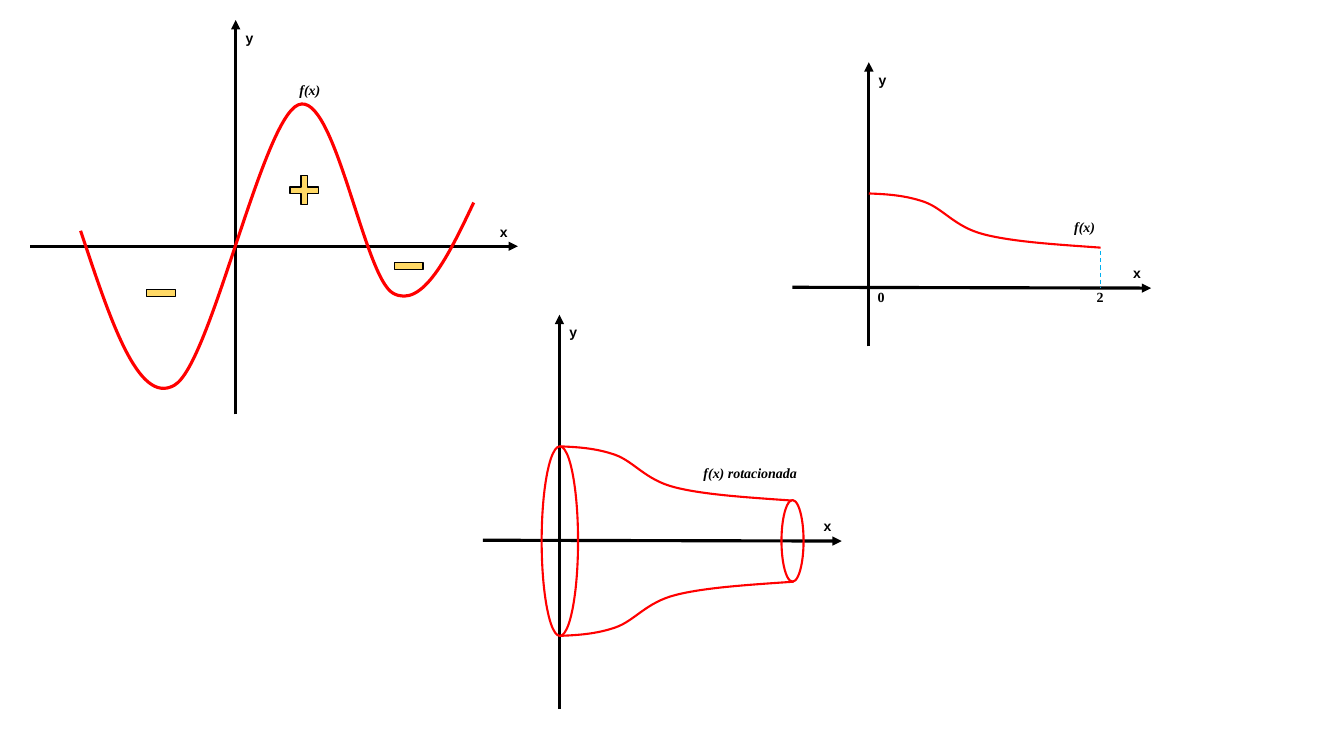
from dataclasses import dataclass

from lxml import etree
from pptx import Presentation
from pptx.dml.color import RGBColor
from pptx.enum.dml import MSO_LINE
from pptx.enum.shapes import MSO_CONNECTOR, MSO_SHAPE
from pptx.enum.text import MSO_AUTO_SIZE
from pptx.oxml.ns import qn
from pptx.shapes.autoshape import Shape
from pptx.shapes.connector import Connector
from pptx.shapes.shapetree import GroupShapes
from pptx.util import Pt

STRAIGHT = MSO_CONNECTOR.STRAIGHT
DASH = MSO_LINE.DASH
ELLIPSE, PLUS, MINUS = MSO_SHAPE.OVAL, MSO_SHAPE.MATH_PLUS, MSO_SHAPE.MATH_MINUS
FIT_TEXT = MSO_AUTO_SIZE.SHAPE_TO_FIT_TEXT

COLORS = {"ink": "000000", "curve": "FF0000", "sign": "FFD966", "limit": "00B0F0"}
SANS, SERIF = "Arial", "Times New Roman"
LABEL_WIDTH, LABEL_HEIGHT = 20, 19.4
SIGN_SIZE = 28

Point = tuple[float, float]


@dataclass(frozen=True)
class Axes:
    x_start: Point
    x_end: Point
    y_start: Point
    y_end: Point


@dataclass(frozen=True)
class Sign:
    kind: MSO_SHAPE
    left: float
    top: float
    thickness: float


@dataclass(frozen=True)
class Rim:
    left: float
    top: float
    width: float
    height: float


FUNCTION_AXES = Axes((566, 205.2), (822.3, 205.8), (620.6, 247.5), (620.6, 44.4))
AREA_AXES = Axes((21.6, 175.9), (370, 175.9), (168.4, 296), (168.4, 14.3))
SOLID_AXES = Axes((344.9, 385.9), (601.2, 386.5), (399.6, 506.6), (399.6, 224.8))

# Bezier control points: a start, then three points for each segment
WAVE = [
    (57.6, 164.9), (78.5, 227.5), (98.6, 290.2), (124.6, 275.2),
    (150.5, 260.6), (187.2, 85.7), (213.1, 74.9),
    (239, 64.1), (259.9, 198), (280.8, 209.5),
    (301.7, 221), (320.4, 182.9), (338.4, 144.7),
]
PROFILE = [
    (0, 0), (13, 0.5), (26, 1.3), (39.6, 6),
    (53.3, 10.8), (61.2, 23.8), (82.1, 29.2),
    (103, 34.6), (134.6, 36.5), (165.6, 38.7),
]

SIGNS = [
    Sign(PLUS, 203.4, 121.9, 0.169),
    Sign(MINUS, 101.2, 195.2, 0.182),
    Sign(MINUS, 278, 175.9, 0.182),
]
RIMS = [Rim(386.9, 318.8, 26, 135.4), Rim(558.2, 357.2, 15.8, 58.3)]


def rgb(name: str) -> RGBColor:
    return RGBColor.from_string(COLORS[name])


def set_outline(item: Shape | Connector, color: str, width: float) -> None:
    item.line.color.rgb = rgb(color)
    item.line.width = Pt(width)


def add_text(graph: GroupShapes, text: str, left: float, top: float, *,
             width: float = LABEL_WIDTH, font: str = SERIF, italic: bool = False) -> None:
    box = graph.add_textbox(Pt(left), Pt(top), Pt(width), Pt(LABEL_HEIGHT))
    frame = box.text_frame
    frame.word_wrap = False
    frame.auto_size = FIT_TEXT
    run = frame.paragraphs[0].add_run()
    run.text = text
    run.font.name = font
    run.font.size = Pt(10)
    run.font.bold = True
    run.font.italic = italic
    run.font.color.rgb = rgb("ink")


def add_line(graph: GroupShapes, start: Point, end: Point, color: str, width: float, *,
             arrow: bool = False, dashed: bool = False) -> None:
    line = graph.add_connector(STRAIGHT, *map(Pt, start + end))
    set_outline(line, color, width)
    if dashed:
        line.line.dash_style = DASH
    properties = line._element.spPr
    if arrow:
        etree.SubElement(properties.find(qn("a:ln")), qn("a:tailEnd"), type="triangle")
    etree.SubElement(properties, qn("a:effectLst"))


def add_axes(graph: GroupShapes, axes: Axes) -> None:
    """Draw both arrows, with x and y named next to the arrowheads."""
    add_line(graph, axes.x_start, axes.x_end, "ink", 2.25, arrow=True)
    add_line(graph, axes.y_start, axes.y_end, "ink", 2.25, arrow=True)
    x_end, y_end = axes.x_end, axes.y_end
    add_text(graph, "x", x_end[0] - LABEL_WIDTH, x_end[1] - 20.1, font=SANS)
    add_text(graph, "y", y_end[0], y_end[1] + 3.1, font=SANS)


def add_curve(graph: GroupShapes, controls: list[Point], width: float) -> None:
    """Outline the segment ends, then bend each segment into a cubic Bezier."""
    points = [(Pt(x), Pt(y)) for x, y in controls]
    builder = graph.build_freeform(*points[0])
    builder.add_line_segments(points[3::3], close=False)
    curve = builder.convert_to_shape()
    segments = list(curve._element.iter(qn("a:lnTo")))
    for index, segment in enumerate(segments):
        bend = etree.Element(qn("a:cubicBezTo"))
        for x, y in points[3 * index + 1:3 * index + 4]:
            etree.SubElement(bend, qn("a:pt"), x=str(x - curve.left), y=str(y - curve.top))
        segment.getparent().replace(segment, bend)
    curve.shadow.inherit = False
    curve.fill.background()
    set_outline(curve, "curve", width)


def place_profile(left: float, top: float, x_scale: float = 1, y_scale: float = 1) -> list[Point]:
    return [(left + x * x_scale, top + y * y_scale) for x, y in PROFILE]


def add_sign(graph: GroupShapes, sign: Sign) -> None:
    shape = graph.add_shape(
        sign.kind, Pt(sign.left), Pt(sign.top), Pt(SIGN_SIZE), Pt(SIGN_SIZE))
    shape.adjustments[0] = sign.thickness
    shape.shadow.inherit = False
    shape.fill.solid()
    shape.fill.fore_color.rgb = rgb("sign")
    set_outline(shape, "ink", 1)


def add_rim(graph: GroupShapes, rim: Rim) -> None:
    ellipse = graph.add_shape(
        ELLIPSE, Pt(rim.left), Pt(rim.top), Pt(rim.width), Pt(rim.height))
    ellipse.shadow.inherit = False
    ellipse.fill.background()
    set_outline(ellipse, "curve", 1.5)


def draw_function(graph: GroupShapes) -> None:
    add_axes(graph, FUNCTION_AXES)
    add_curve(graph, place_profile(620.6, 138.2), 1.5)
    add_text(graph, "0", 619.8, 202.7)
    add_text(graph, "2", 776.2, 202.7)
    add_line(graph, (786.2, 179.3), (786.2, 205.2), "limit", 0.75, dashed=True)
    add_text(graph, "f(x)", 760.2, 152.6, width=32.4, italic=True)


def draw_signed_areas(graph: GroupShapes) -> None:
    add_axes(graph, AREA_AXES)
    add_curve(graph, WAVE, 2.25)
    for sign in SIGNS:
        add_sign(graph, sign)
    add_text(graph, "f(x)", 206.8, 54.7, width=32.4, italic=True)


def draw_solid(graph: GroupShapes) -> None:
    add_axes(graph, SOLID_AXES)
    add_curve(graph, place_profile(399.6, 318.8), 1.5)
    add_curve(graph, place_profile(399.6, 454.2, x_scale=1.01, y_scale=-1), 1.5)
    for rim in RIMS:
        add_rim(graph, rim)
    add_text(graph, "f(x) rotacionada", 495.4, 328.3, width=85.7, italic=True)


def main() -> None:
    deck = Presentation()
    deck.slide_width, deck.slide_height = Pt(960), Pt(540)
    slide = deck.slides.add_slide(deck.slide_layouts[6])
    for draw in (draw_function, draw_signed_areas, draw_solid):
        draw(slide.shapes.add_group_shape().shapes)
    deck.save("out.pptx")


if __name__ == "__main__":
    main()
